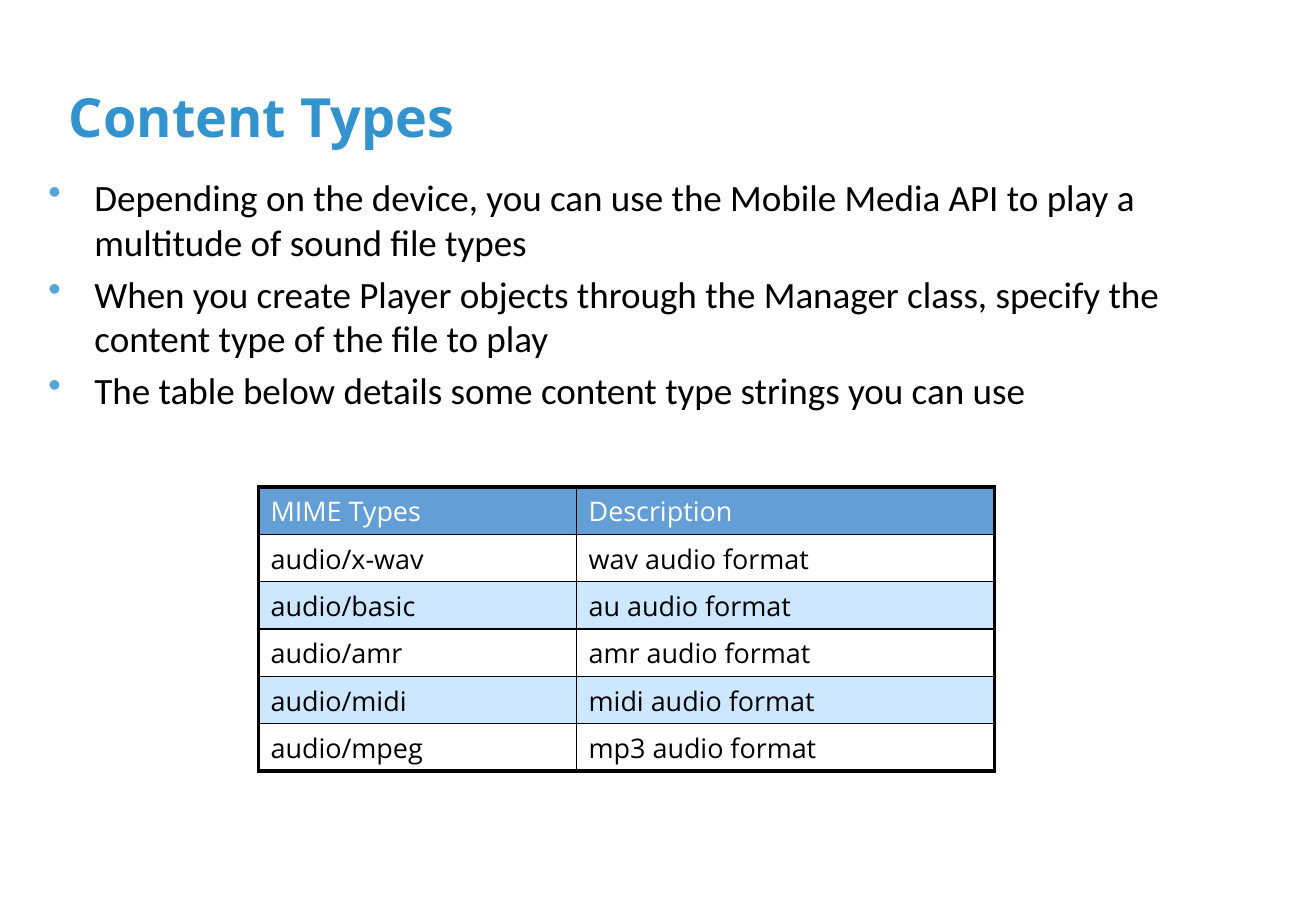
from typing import NamedTuple

from lxml import etree
from pptx import Presentation
from pptx.dml.color import RGBColor
from pptx.enum.text import MSO_ANCHOR
from pptx.oxml.ns import qn
from pptx.util import Inches, Pt

BOTTOM, TOP = MSO_ANCHOR.BOTTOM, MSO_ANCHOR.TOP
WIDTH, HEIGHT = 10.84, 7.5
BLACK, WHITE = "000000", "FFFFFF"
HEADING_BLUE, BULLET_BLUE = "3293CE", "54A4D6"
HEADER_FILL, BAND_FILL = "639ED6", "CCE7FF"
OUTER_LINE, INNER_LINE = 2.25, 1
COLUMN_WIDTHS = (2.62, 3.44)
ROW_HEIGHT = 0.39
HANGING = 0.38


class Box(NamedTuple):
    """Position and size in inches."""
    left: float
    top: float
    width: float
    height: float


class Style(NamedTuple):
    """Font of a paragraph."""
    font: str
    size: float
    colour: str
    bold: bool = False


class ContentType(NamedTuple):
    """One table row: a MIME type and what it stands for."""
    mime: str
    description: str


HEADING = Style("Noto Sans", 32, HEADING_BLUE, True)
BODY = Style("Calibri", 22, BLACK)
HEADER_CELL = Style("Open Sans", 16, WHITE)
BODY_CELL = Style("Open Sans", 16, BLACK)

POINTS = (
    "Depending on the device, you can use the Mobile Media API to play a "
    "multitude of sound file types",
    "When you create Player objects through the Manager class, specify the "
    "content type of the file to play",
    "The table below details some content type strings you can use",
)
CONTENT_TYPES = (
    ContentType("MIME Types", "Description"),
    ContentType("audio/x-wav", "wav audio format"),
    ContentType("audio/basic", "au audio format"),
    ContentType("audio/amr", "amr audio format"),
    ContentType("audio/midi", "midi audio format"),
    ContentType("audio/mpeg", "mp3 audio format"),
)


def rgb(colour: str) -> RGBColor:
    """Turn a hex string into a colour."""
    return RGBColor.from_string(colour)


def write(paragraph, text: str, style: Style) -> None:
    """Put styled text into a paragraph."""
    paragraph.text = text
    font = paragraph.font
    font.name, font.size, font.bold = style.font, Pt(style.size), style.bold
    font.color.rgb = rgb(style.colour)


def add_bullet(paragraph) -> None:
    """Give a paragraph a coloured bullet and a hanging indent."""
    properties = paragraph._p.get_or_add_pPr()
    properties.set("marL", str(Inches(HANGING)))
    properties.set("indent", str(-Inches(HANGING)))
    bullet_colour = etree.Element(qn("a:buClr"))
    etree.SubElement(bullet_colour, qn("a:srgbClr"), val=BULLET_BLUE)
    bullet = etree.Element(qn("a:buChar"), char="•")
    default_font = properties.find(qn("a:defRPr"))
    default_font.addprevious(bullet_colour)
    default_font.addprevious(bullet)


def add_text(slide, box: Box, lines: tuple[str, ...], style: Style,
             anchor=TOP, bulleted: bool = False):
    """Add a wrapping text box, one paragraph a line."""
    frame = slide.shapes.add_textbox(*map(Inches, box)).text_frame
    frame.word_wrap = True
    frame.vertical_anchor = anchor
    for index, line in enumerate(lines):
        paragraph = frame.add_paragraph() if index else frame.paragraphs[0]
        write(paragraph, line, style)
        if bulleted:
            paragraph.space_before = Pt(style.size * 0.2)
            add_bullet(paragraph)
    return frame


def set_borders(cell, outer_sides: dict[str, bool]) -> None:
    """Draw heavy lines on the table's rim and thin ones inside."""
    properties = cell._tc.get_or_add_tcPr()
    for index, (side, is_outer) in enumerate(outer_sides.items()):
        weight = Pt(OUTER_LINE if is_outer else INNER_LINE)
        line = etree.Element(qn(f"a:ln{side}"), w=str(weight))
        fill = etree.SubElement(line, qn("a:solidFill"))
        etree.SubElement(fill, qn("a:srgbClr"), val=BLACK)
        properties.insert(index, line)


def row_fill(row: int) -> str:
    """Choose the header colour or one of the alternating bands."""
    if row == 0:
        return HEADER_FILL
    return WHITE if row % 2 else BAND_FILL


def add_content_table(slide, left: float, top: float) -> None:
    """Add the table of content types."""
    last_row, last_column = len(CONTENT_TYPES) - 1, len(COLUMN_WIDTHS) - 1
    box = Box(left, top, sum(COLUMN_WIDTHS), ROW_HEIGHT * len(CONTENT_TYPES))
    table = slide.shapes.add_table(
        len(CONTENT_TYPES), len(COLUMN_WIDTHS), *map(Inches, box)).table
    for column, width in zip(table.columns, COLUMN_WIDTHS):
        column.width = Inches(width)
    for row, content_type in enumerate(CONTENT_TYPES):
        for column, text in enumerate(content_type):
            cell = table.cell(row, column)
            write(cell.text_frame.paragraphs[0], text,
                  BODY_CELL if row else HEADER_CELL)
            cell.fill.solid()
            cell.fill.fore_color.rgb = rgb(row_fill(row))
            set_borders(cell, {"L": column == 0, "R": column == last_column,
                               "T": row == 0, "B": row == last_row})


def main() -> None:
    """Build and save the slide."""
    deck = Presentation()
    deck.slide_width, deck.slide_height = Inches(WIDTH), Inches(HEIGHT)
    slide = deck.slides.add_slide(deck.slide_layouts[6])
    heading = add_text(slide, Box(0.47, 0.3, 9.9, 0.93), ("Content Types",),
                       HEADING, BOTTOM)
    heading.margin_bottom = Inches(0.01)
    add_text(slide, Box(0.3, 1.39, 10.24, 4.88), POINTS, BODY, bulleted=True)
    add_content_table(slide, 2.13, 4.01)
    deck.save("out.pptx")


main()
